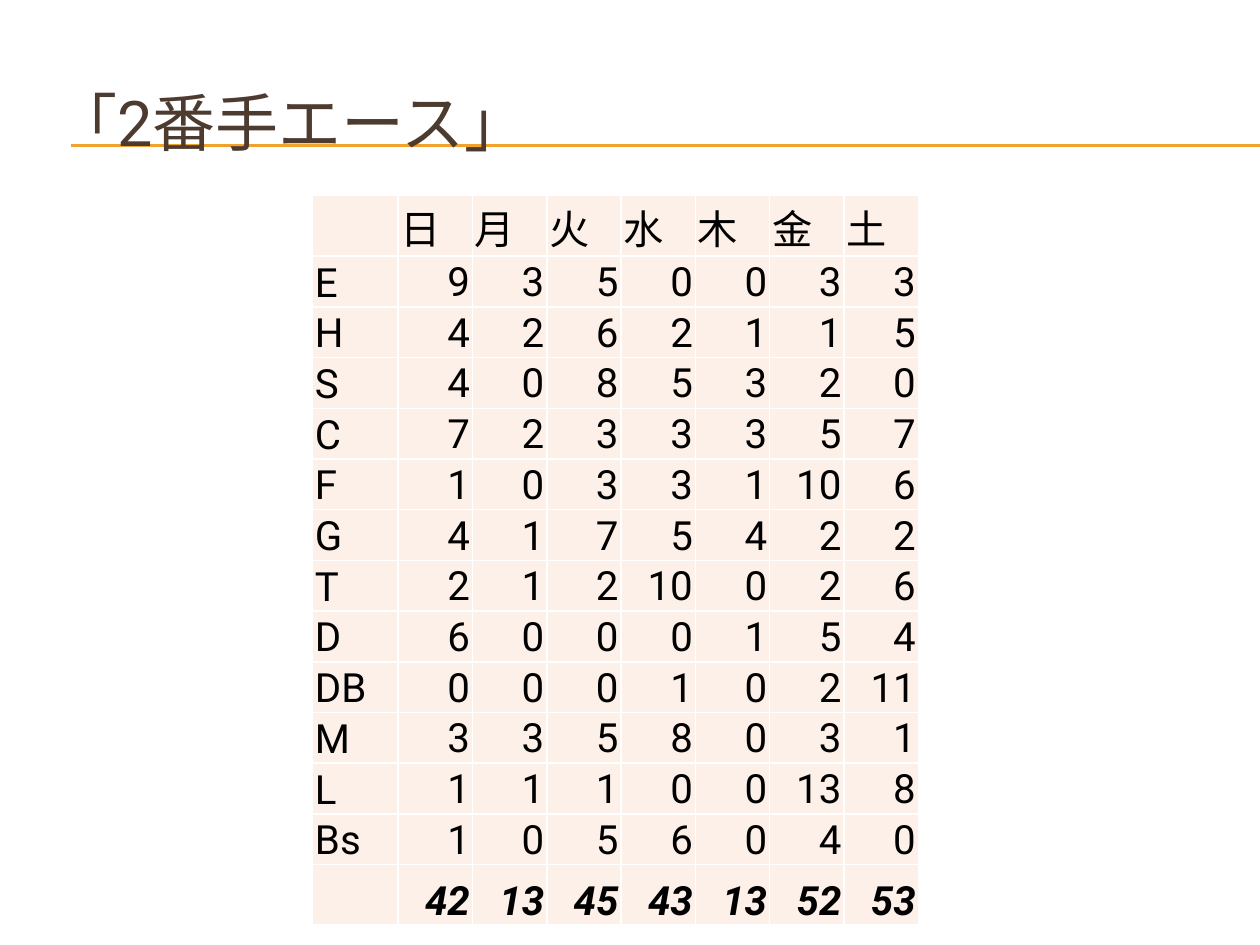
from lxml import etree
from pptx import Presentation
from pptx import util as u
from pptx.dml.color import RGBColor
from pptx.enum import shapes, text
from pptx.oxml.ns import qn

GOLD = RGBColor(0xF0, 0xA2, 0x2E)
BROWN = RGBColor(0x4E, 0x3B, 0x30)
BLACK = RGBColor(0x00, 0x00, 0x00)
CREAM = RGBColor(0xFC, 0xF0, 0xE8)
WHITE = RGBColor(0xFF, 0xFF, 0xFF)
FONT = "Roboto"

DAYS = ["", *"日月火水木金土"]
WINS = {
    "E": (9, 3, 5, 0, 0, 3, 3),
    "H": (4, 2, 6, 2, 1, 1, 5),
    "S": (4, 0, 8, 5, 3, 2, 0),
    "C": (7, 2, 3, 3, 3, 5, 7),
    "F": (1, 0, 3, 3, 1, 10, 6),
    "G": (4, 1, 7, 5, 4, 2, 2),
    "T": (2, 1, 2, 10, 0, 2, 6),
    "D": (6, 0, 0, 0, 1, 5, 4),
    "DB": (0, 0, 0, 1, 0, 2, 11),
    "M": (3, 3, 5, 8, 0, 3, 1),
    "L": (1, 1, 1, 0, 0, 13, 8),
    "Bs": (1, 0, 5, 6, 0, 4, 0),
}


def set_font(p, size, color, bold=False, italic=False):
    f = p.font
    f.name, f.size = FONT, u.Pt(size)
    f.bold, f.italic = bold, italic
    f.color.rgb = color


def add_rule(s, y, right):
    line = s.shapes.add_connector(
        shapes.MSO_CONNECTOR.STRAIGHT, u.Inches(0.56), u.Inches(y), right, u.Inches(y))
    line.line.color.rgb = GOLD
    line.line.width = u.Pt(0.75)
    etree.SubElement(line.element.spPr, qn("a:effectLst"))


def add_title(s, words):
    sp = s.shapes.title
    sp.left, sp.top = u.Inches(0.33), u.Inches(0.5)
    sp.width, sp.height = u.Inches(9.5), u.Inches(0.92)
    tf = sp.text_frame
    tf.text = words
    tf.vertical_anchor = text.MSO_ANCHOR.MIDDLE
    p = tf.paragraphs[0]
    p.alignment = text.PP_ALIGN.LEFT
    set_font(p, 36, BROWN)
    sp.element.getparent().append(sp.element)


def set_borders(cell):
    tc_pr = cell.fill._xPr
    for i, side in enumerate(("lnL", "lnR", "lnT", "lnB")):
        ln = etree.Element(qn(f"a:{side}"), w=str(u.Pt(1)))
        fill = etree.SubElement(ln, qn("a:solidFill"))
        etree.SubElement(fill, qn("a:srgbClr"), val=str(WHITE))
        tc_pr.insert(i, ln)


def format_cell(cell, value, anchor, align, emphasis):
    cell.text = str(value)
    cell.margin_left = cell.margin_right = cell.margin_top = u.Inches(0.02)
    cell.margin_bottom = 0
    cell.vertical_anchor = anchor
    cell.fill.solid()
    cell.fill.fore_color.rgb = CREAM
    set_borders(cell)
    p = cell.text_frame.paragraphs[0]
    p.alignment = align
    set_font(p, 23, BLACK, emphasis, emphasis)


def add_wins_table(s):
    totals = ["", *map(sum, zip(*WINS.values()))]
    rows = [DAYS, *([team, *wins] for team, wins in WINS.items()), totals]
    last = len(rows) - 1
    table = s.shapes.add_table(
        len(rows), len(DAYS), u.Inches(2.48), u.Inches(1.55),
        u.Inches(4.83), u.Inches(5.79)).table
    table.first_row = table.horz_banding = False
    for c, col in enumerate(table.columns):
        col.width = u.Inches(0.59 if c else 0.68)
    for r, values in enumerate(rows):
        inner = 0 < r < last
        table.rows[r].height = u.Inches(0.4025 if inner else 0.48)
        for c, value in enumerate(values):
            number = r > 0 and c > 0
            anchor = text.MSO_ANCHOR.MIDDLE if inner and c else text.MSO_ANCHOR.BOTTOM
            align = text.PP_ALIGN.RIGHT if number else text.PP_ALIGN.LEFT
            format_cell(table.cell(r, c), value, anchor, align, r == last)


def main():
    prs = Presentation()
    prs.slide_width, prs.slide_height = u.Inches(10), u.Inches(7.5)
    s = prs.slides.add_slide(prs.slide_layouts[5])
    for y in (1.15, 1.16):
        add_rule(s, y, prs.slide_width)
    add_title(s, "「2番手エース」")
    add_wins_table(s)
    prs.save("out.pptx")


if __name__ == "__main__":
    main()
